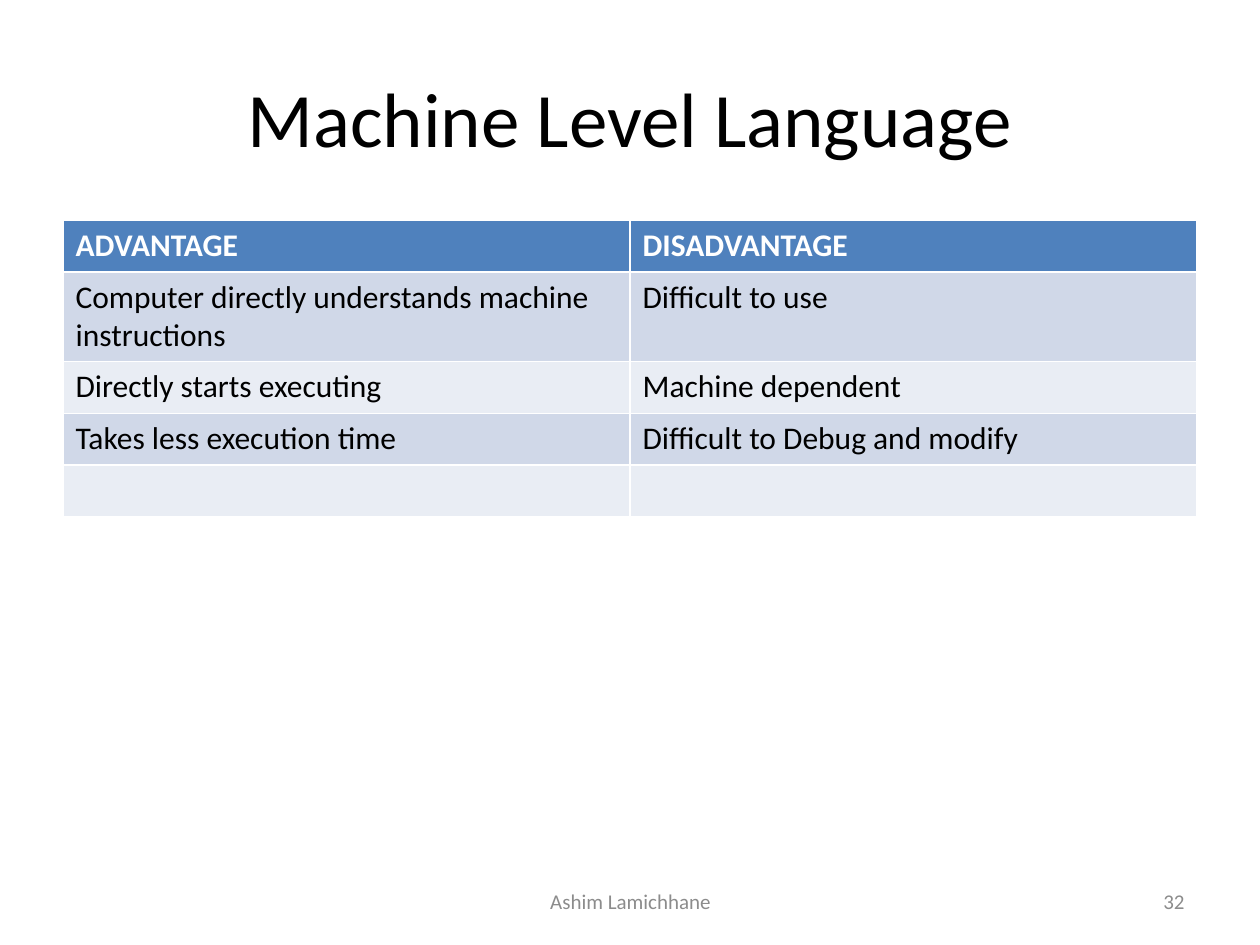
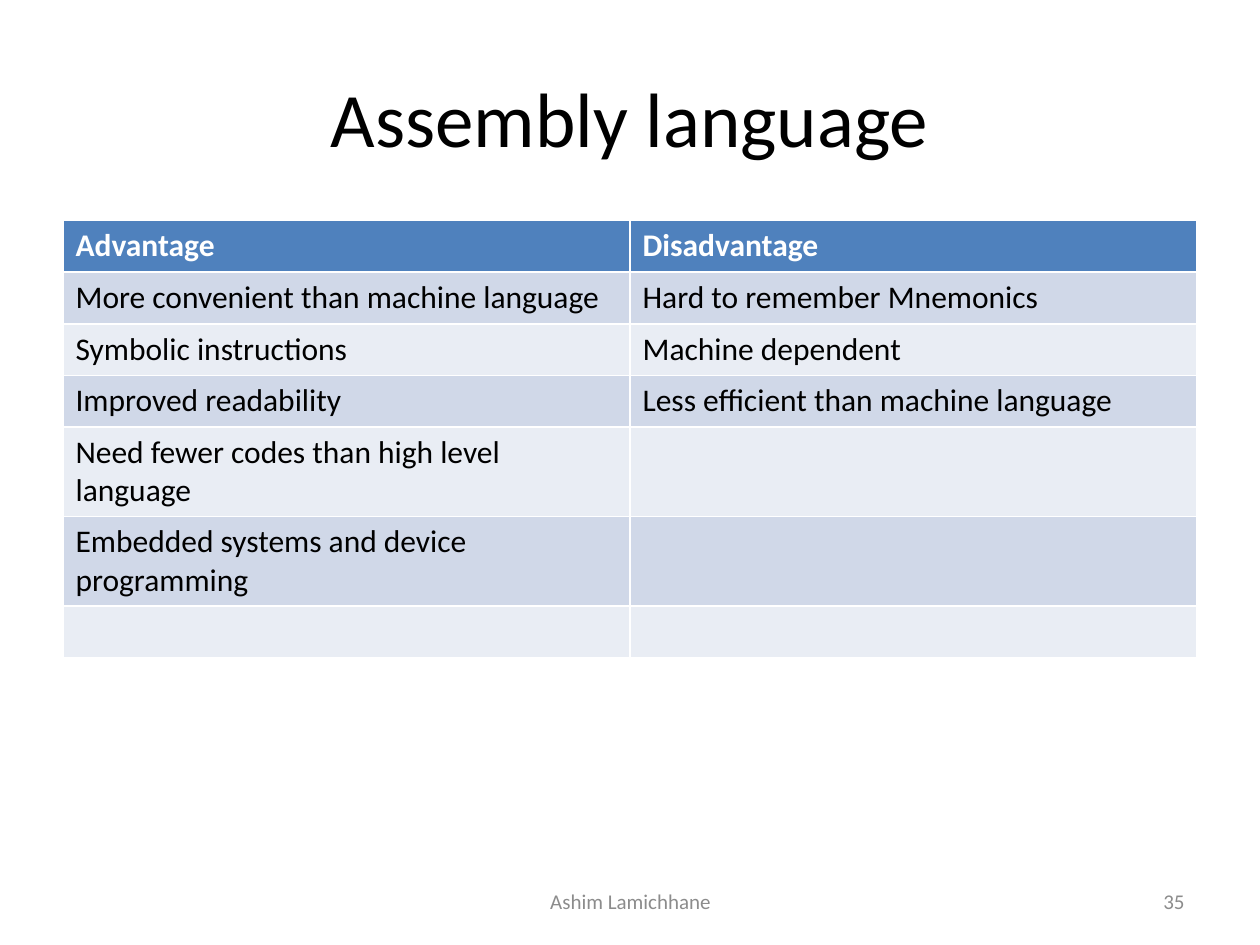
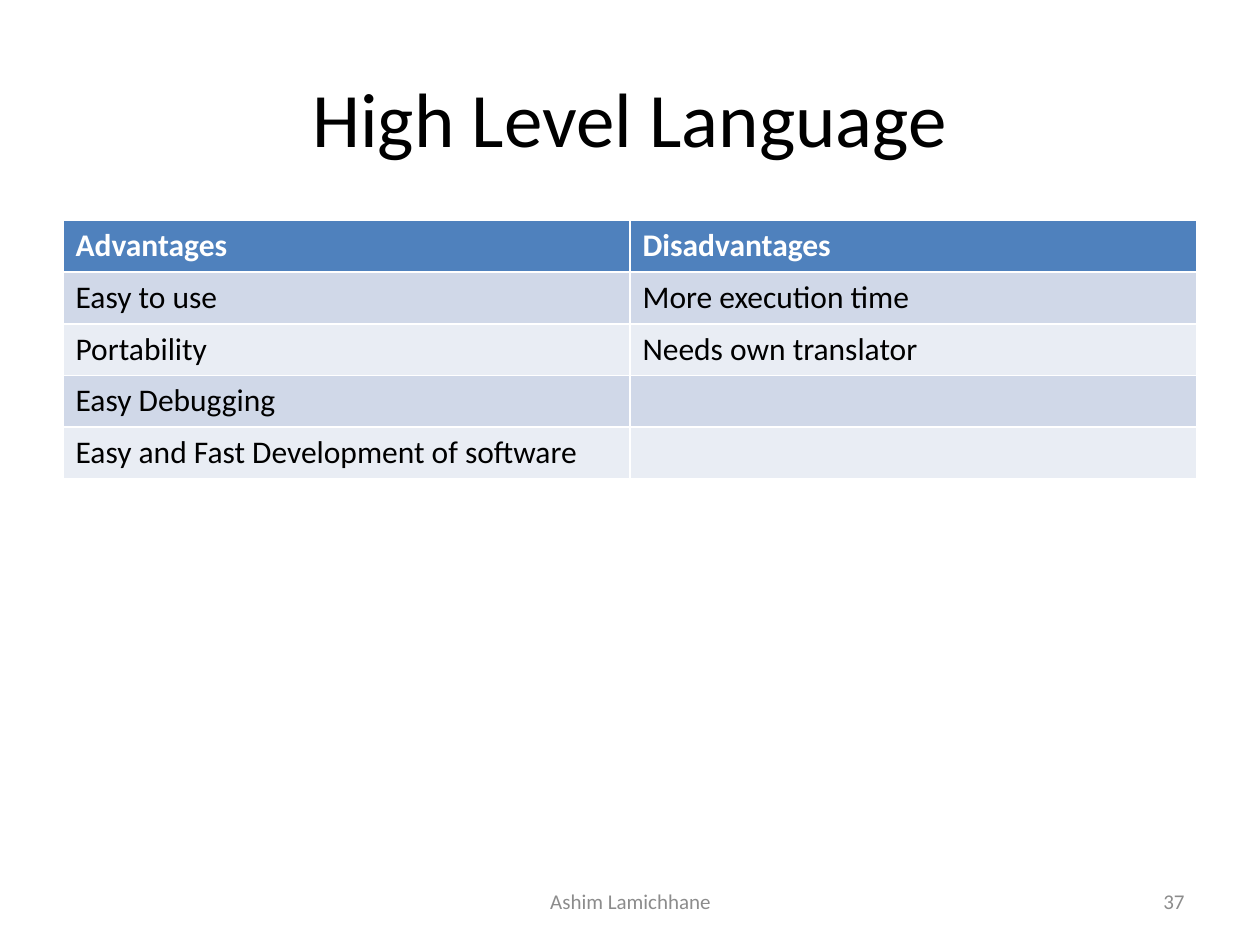
from pptx import Presentation
from pptx.dml.color import RGBColor
from pptx.enum import text
from pptx.util import Inches, Pt

# Content: page number, title, table rows (heading row first)
FOOTER = "Ashim Lamichhane"
PAGES = [
    (32, "Machine Level Language", [
        ("ADVANTAGE", "DISADVANTAGE"),
        ("Computer directly understands machine instructions", "Difficult to use"),
        ("Directly starts executing", "Machine dependent"),
        ("Takes less execution time", "Difficult to Debug and modify"),
        ("", ""),
    ]),
    (35, "Assembly language", [
        ("Advantage", "Disadvantage"),
        ("More convenient than machine language", "Hard to remember Mnemonics"),
        ("Symbolic instructions", "Machine dependent"),
        ("Improved readability", "Less efficient than machine language"),
        ("Need fewer codes than high level language", ""),
        ("Embedded systems and device programming", ""),
        ("", ""),
    ]),
    (37, "High Level Language", [
        ("Advantages", "Disadvantages"),
        ("Easy to use", "More execution time"),
        ("Portability", "Needs own translator"),
        ("Easy Debugging", ""),
        ("Easy and Fast Development of software", ""),
    ]),
]

# Shared style
FONT = "Calibri"
BLACK = RGBColor(0x00, 0x00, 0x00)
WHITE = RGBColor(0xFF, 0xFF, 0xFF)
GREY = RGBColor(0x8C, 0x8C, 0x8C)
HEADING_BLUE = RGBColor(0x4F, 0x81, 0xBD)
BANDS = [RGBColor(0xE9, 0xED, 0xF4), RGBColor(0xD0, 0xD8, 0xE8)]
MARGIN, CONTENT_WIDTH = 0.5, 9
TABLE_TOP, ROW_HEIGHT = 1.75, 0.41
FOOTER_TOP, FOOTER_HEIGHT = 6.95, 0.4


def style(para, size, color, align=None, bold=False):
    para.font.name = FONT
    para.font.size = Pt(size)
    para.font.color.rgb = color
    para.font.bold = bold
    para.alignment = align


def place(shape, left, top, width, height):
    shape.left, shape.top = Inches(left), Inches(top)
    shape.width, shape.height = Inches(width), Inches(height)


def add_title(page, title):
    box = page.shapes.title
    place(box, MARGIN, 0.3, CONTENT_WIDTH, 1.25)
    box.text_frame.text = title
    box.text_frame.vertical_anchor = text.MSO_ANCHOR.MIDDLE
    style(box.text_frame.paragraphs[0], 44, BLACK, text.PP_ALIGN.CENTER)


def add_comparison(page, rows):
    columns = len(rows[0])
    table = page.shapes.add_table(
        len(rows), columns, Inches(MARGIN), Inches(TABLE_TOP),
        Inches(CONTENT_WIDTH), Inches(ROW_HEIGHT * len(rows))).table
    for r, row in enumerate(rows):
        heading = r == 0
        for c, words in enumerate(row):
            cell = table.cell(r, c)
            cell.text = words
            cell.fill.solid()
            cell.fill.fore_color.rgb = HEADING_BLUE if heading else BANDS[r % 2]
            style(cell.text_frame.paragraphs[0], 18,
                  WHITE if heading else BLACK, bold=heading)


def add_footer(page, words, left, width, align):
    box = page.shapes.add_textbox(Inches(left), Inches(FOOTER_TOP),
                                  Inches(width), Inches(FOOTER_HEIGHT))
    box.text_frame.word_wrap = True
    box.text_frame.vertical_anchor = text.MSO_ANCHOR.MIDDLE
    box.text_frame.text = words
    style(box.text_frame.paragraphs[0], 12, GREY, align)


# Build the deck
deck = Presentation()
deck.slide_width, deck.slide_height = Inches(10), Inches(7.5)
title_only = deck.slide_layouts[5]
for number, title, rows in PAGES:
    page = deck.slides.add_slide(title_only)
    add_title(page, title)
    add_comparison(page, rows)
    add_footer(page, FOOTER, 3.42, 3.17, text.PP_ALIGN.CENTER)
    add_footer(page, str(number), 7.17, 2.33, text.PP_ALIGN.RIGHT)

deck.save("out.pptx")
